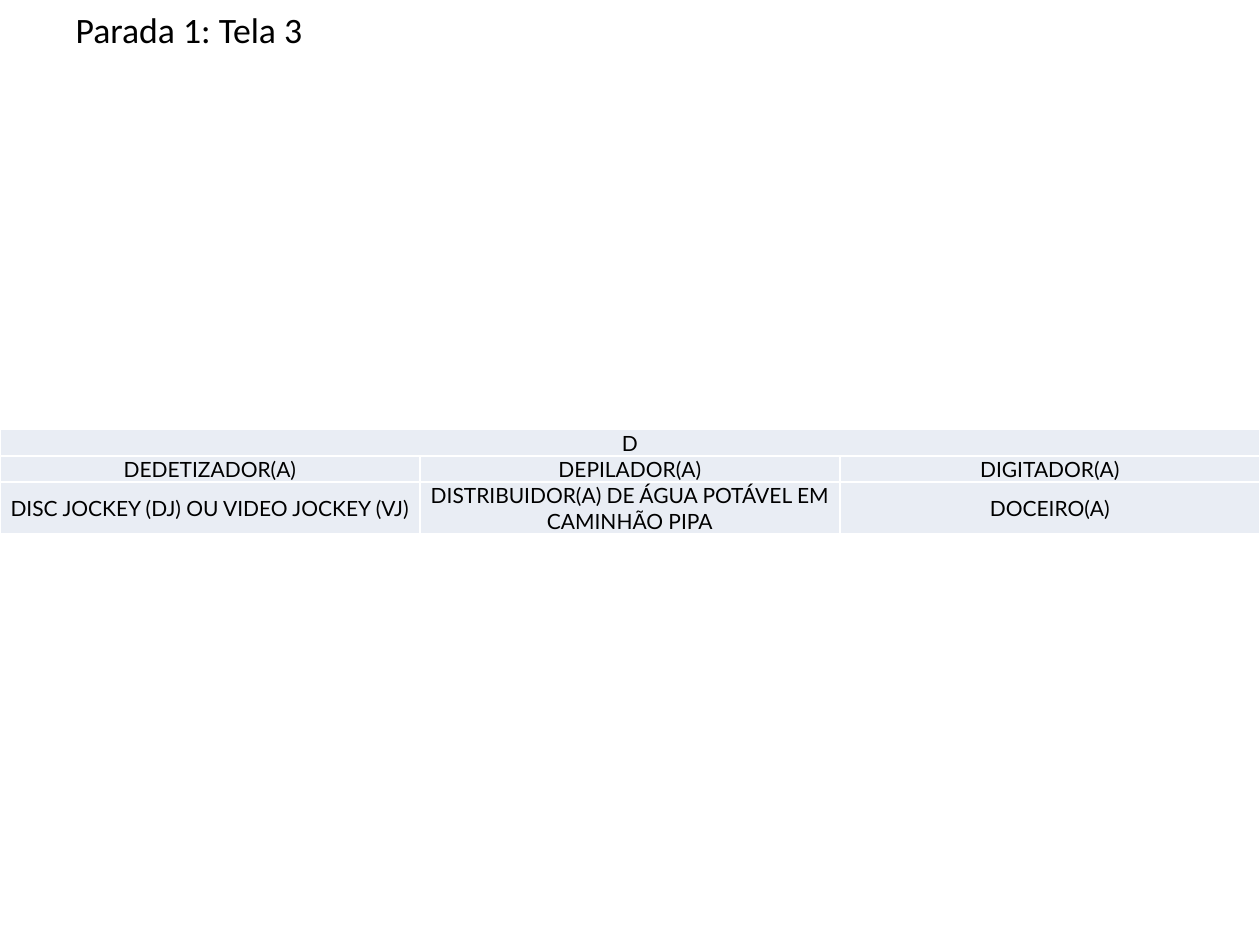
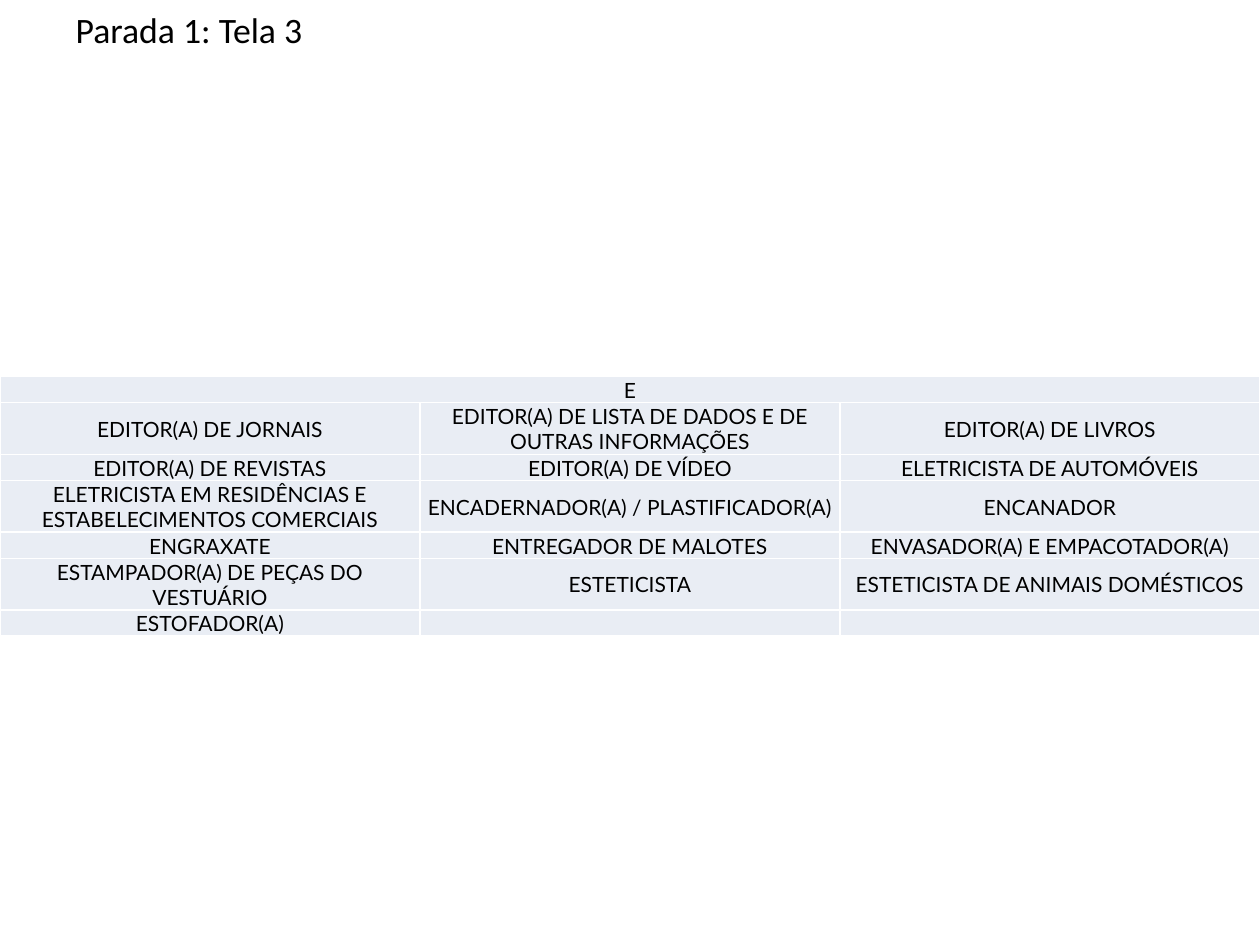
from lxml.etree import SubElement as Sub
from pptx import Presentation
from pptx.dml.color import RGBColor as Rgb
from pptx.enum.text import MSO_ANCHOR as Anchor, MSO_AUTO_SIZE as Fit, PP_ALIGN as Align
from pptx.oxml.ns import qn
from pptx.util import Cm, Pt

HUES = {"text": "000000", "cell": "E9EDF4", "rule": "FFFFFF"}
WIDTH, HEIGHT = 25.4, 19.05
COLS = 3
LINE = 0.52  # height of one text line in a row
LONG = 40    # a job name longer than this gets a row of two lines

TITLE = "Parada 1: Tela 3"
JOBS_D = [
    "DEDETIZADOR(A)", "DEPILADOR(A)", "DIGITADOR(A)",
    "DISC JOCKEY (DJ) OU VIDEO JOCKEY (VJ)",
    "DISTRIBUIDOR(A) DE ÁGUA POTÁVEL EM CAMINHÃO PIPA",
    "DOCEIRO(A)",
]
JOBS_E = [
    "EDITOR(A) DE JORNAIS",
    "EDITOR(A) DE LISTA DE DADOS E DE OUTRAS INFORMAÇÕES",
    "EDITOR(A) DE LIVROS",
    "EDITOR(A) DE REVISTAS", "EDITOR(A) DE VÍDEO", "ELETRICISTA DE AUTOMÓVEIS",
    "ELETRICISTA EM RESIDÊNCIAS E ESTABELECIMENTOS COMERCIAIS",
    "ENCADERNADOR(A) / PLASTIFICADOR(A)", "ENCANADOR",
    "ENGRAXATE", "ENTREGADOR DE MALOTES", "ENVASADOR(A) E EMPACOTADOR(A)",
    "ESTAMPADOR(A) DE PEÇAS DO VESTUÁRIO", "ESTETICISTA",
    "ESTETICISTA DE ANIMAIS DOMÉSTICOS",
    "ESTOFADOR(A)",
]
PAGES = [("D", JOBS_D, 8.66), ("E", JOBS_E, 7.59)]


def set_font(para, name, size):
    """Set the font, size and colour of a paragraph."""
    para.font.name = name
    para.font.size = Pt(size)
    para.font.color.rgb = Rgb.from_string(HUES["text"])


def add_title(slide):
    """Place and format the title placeholder."""
    title = slide.shapes.title
    title.left, title.top = Cm(1.27), Cm(0.03)
    title.width, title.height = Cm(22.86), Cm(0.97)
    frame = title.text_frame
    frame.text = TITLE
    frame.auto_size = Fit.NONE
    frame.vertical_anchor = Anchor.TOP
    para = frame.paragraphs[0]
    para.alignment = Align.LEFT
    set_font(para, "Calibri", 20.4)


def add_rules(cell):
    """Draw thin lines on the four sides of a cell."""
    props = cell._tc.get_or_add_tcPr()
    for at, side in enumerate(("lnL", "lnR", "lnT", "lnB")):
        line = props.makeelement(qn("a:" + side), {"w": str(Pt(1))})
        fill = Sub(line, qn("a:solidFill"))
        Sub(fill, qn("a:srgbClr"), val=HUES["rule"])
        props.insert(at, line)


def fill_cell(cell, text):
    """Write and style one table cell."""
    cell.text = text
    cell.vertical_anchor = Anchor.MIDDLE
    cell.margin_left = cell.margin_right = cell.margin_top = Cm(0.02)
    cell.margin_bottom = 0
    cell.fill.solid()
    cell.fill.fore_color.rgb = Rgb.from_string(HUES["cell"])
    add_rules(cell)
    para = cell.text_frame.paragraphs[0]
    para.alignment = Align.CENTER
    set_font(para, "Lato", 12)


def add_jobs(slide, letter, jobs, top):
    """Add the table of jobs under their first letter."""
    rows = [[letter]] + [jobs[i:i + COLS] for i in range(0, len(jobs), COLS)]
    lines = [2 if max(map(len, row)) > LONG else 1 for row in rows]
    shape = slide.shapes.add_table(len(rows), COLS, 0, Cm(top), Cm(WIDTH),
                                   Cm(LINE * sum(lines)))
    table = shape.table
    table.first_row = table.horz_banding = False
    for r, row in enumerate(rows):
        table.rows[r].height = Cm(LINE * lines[r])
        for c in range(COLS):
            fill_cell(table.cell(r, c), row[c] if c < len(row) else "")
    table.cell(0, 0).merge(table.cell(0, COLS - 1))


def main():
    """Build one slide for each letter."""
    deck = Presentation()
    deck.slide_width, deck.slide_height = Cm(WIDTH), Cm(HEIGHT)
    for letter, jobs, top in PAGES:
        slide = deck.slides.add_slide(deck.slide_layouts[5])
        add_title(slide)
        add_jobs(slide, letter, jobs, top)
    deck.save("out.pptx")


main()
